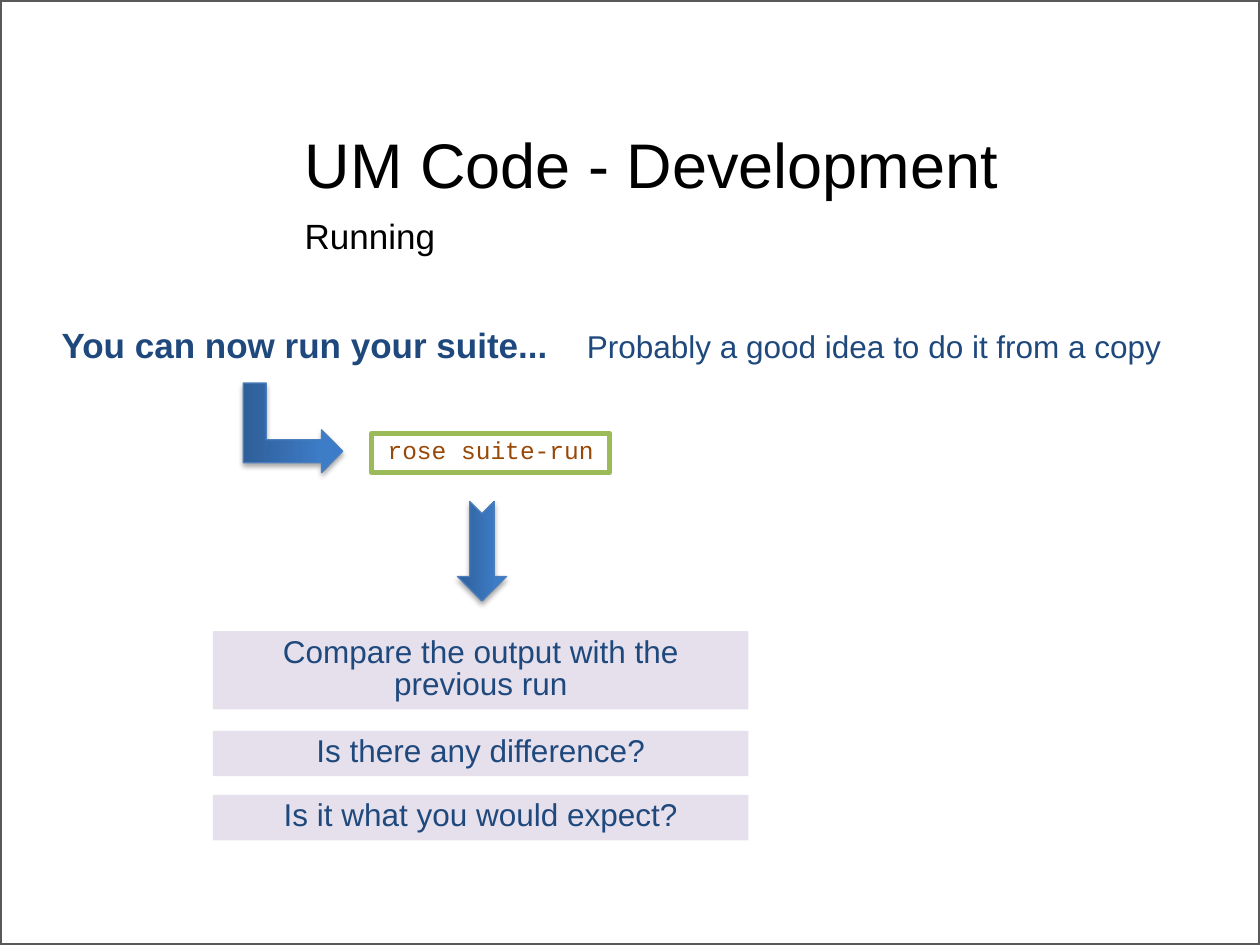
"""Build the slide on running a suite during UM code development."""
from lxml.etree import fromstring
from pptx import Presentation
from pptx.dml.color import RGBColor
from pptx.enum.shapes import MSO_SHAPE as SHAPE
from pptx.enum.text import MSO_ANCHOR as ANCHOR, PP_ALIGN as ALIGN
from pptx.util import Inches, Pt

COLORS = {
    "frame": "595959", "black": "000000", "navy": "1F497D", "brown": "984807",
    "green": "9BBB59", "lilac": "E6E0EC", "arrow_line": "4B7EBC",
    "arrow_dark": "2F5F99", "arrow_mid": "3D7CC7", "arrow_light": "3A7CCB",
}
TITLE = "UM Code - Development"
SUBTITLE = "Running"
HEADING = "You can now run your suite..."
REMARK = "Probably a good idea to do it from a copy"
COMMAND = "rose suite-run"
CHECKS = [
    ("Compare the output with the previous run", 5.01, 0.62),
    ("Is there any difference?", 5.8, 0.36),
    ("Is it what you would expect?", 6.31, 0.36),
]
ARROWS = [
    (SHAPE.BENT_UP_ARROW, (1.97, 3, 0.71, 0.79), (0.258, 0.238, 0.237)),
    (SHAPE.NOTCHED_RIGHT_ARROW, (3.43, 4.18, 0.79, 0.39), ()),
]
GRADIENT = [(0, "arrow_dark"), (80, "arrow_mid"), (100, "arrow_light")]
NS = 'xmlns:a="http://schemas.openxmlformats.org/drawingml/2006/main"'


def rgb(name):
    return RGBColor.from_string(COLORS[name])


def set_line(sp, color, width):
    sp.line.color.rgb = rgb(color)
    sp.line.width = Pt(width)


def add_text(slide, text, box, size, color="navy", font="Arial", bold=False,
             align=ALIGN.LEFT, anchor=ANCHOR.TOP, spacing=0.85):
    sp = slide.shapes.add_textbox(*map(Inches, box))
    tf = sp.text_frame
    tf.word_wrap = True
    tf.vertical_anchor = anchor
    p = tf.paragraphs[0]
    p.alignment = align
    p.line_spacing = spacing
    r = p.add_run()
    r.text = text
    r.font.name, r.font.size, r.font.bold = font, Pt(size), bold
    r.font.color.rgb = rgb(color)
    return sp


def add_arrow(slide, kind, box, adjustments):
    sp = slide.shapes.add_shape(kind, *map(Inches, box))
    sp.rotation = 90
    for i, value in enumerate(adjustments):
        sp.adjustments[i] = value
    set_line(sp, "arrow_line", 0.75)
    stops = "".join(
        f'<a:gs pos="{pos * 1000}"><a:srgbClr val="{COLORS[name]}"/></a:gs>'
        for pos, name in GRADIENT)
    sp.line._ln.addprevious(fromstring(
        f'<a:gradFill {NS} rotWithShape="1"><a:gsLst>{stops}</a:gsLst>'
        '<a:lin ang="16200000" scaled="0"/></a:gradFill>'))
    sp.line._ln.addnext(fromstring(
        f'<a:effectLst {NS}><a:outerShdw blurRad="{Pt(3.1)}" dist="{Pt(1.8)}" '
        'dir="5400000" rotWithShape="0"><a:srgbClr val="000000">'
        '<a:alpha val="35000"/></a:srgbClr></a:outerShdw></a:effectLst>'))


def main():
    prs = Presentation()
    prs.slide_width, prs.slide_height = Inches(10), Inches(7.5)
    s = prs.slides.add_slide(prs.slide_layouts[6])

    frame = s.shapes.add_shape(SHAPE.RECTANGLE, 0, 0, prs.slide_width, prs.slide_height)
    frame.shadow.inherit = False
    frame.fill.background()
    set_line(frame, "frame", 2.25)

    add_text(s, TITLE, (2.32, 0.63, 7.64, 1.02), 36, "black", anchor=ANCHOR.BOTTOM)
    add_text(s, SUBTITLE, (2.32, 1.69, 7.64, 0.55), 20, "black", spacing=0.9)
    add_text(s, HEADING, (0.39, 2.57, 4.15, 0.39), 20, bold=True)
    add_text(s, REMARK, (4.56, 2.59, 5.24, 0.37), 18)

    command = add_text(s, COMMAND, (2.95, 3.44, 1.89, 0.31), 14, "brown",
                       "Courier New", align=ALIGN.CENTER)
    set_line(command, "green", 2.75)

    for arrow in ARROWS:
        add_arrow(s, *arrow)

    for text, top, height in CHECKS:
        check = add_text(s, text, (1.69, top, 4.25, height), 18, align=ALIGN.CENTER)
        check.fill.solid()
        check.fill.fore_color.rgb = rgb("lilac")

    prs.save("out.pptx")


if __name__ == "__main__":
    main()
